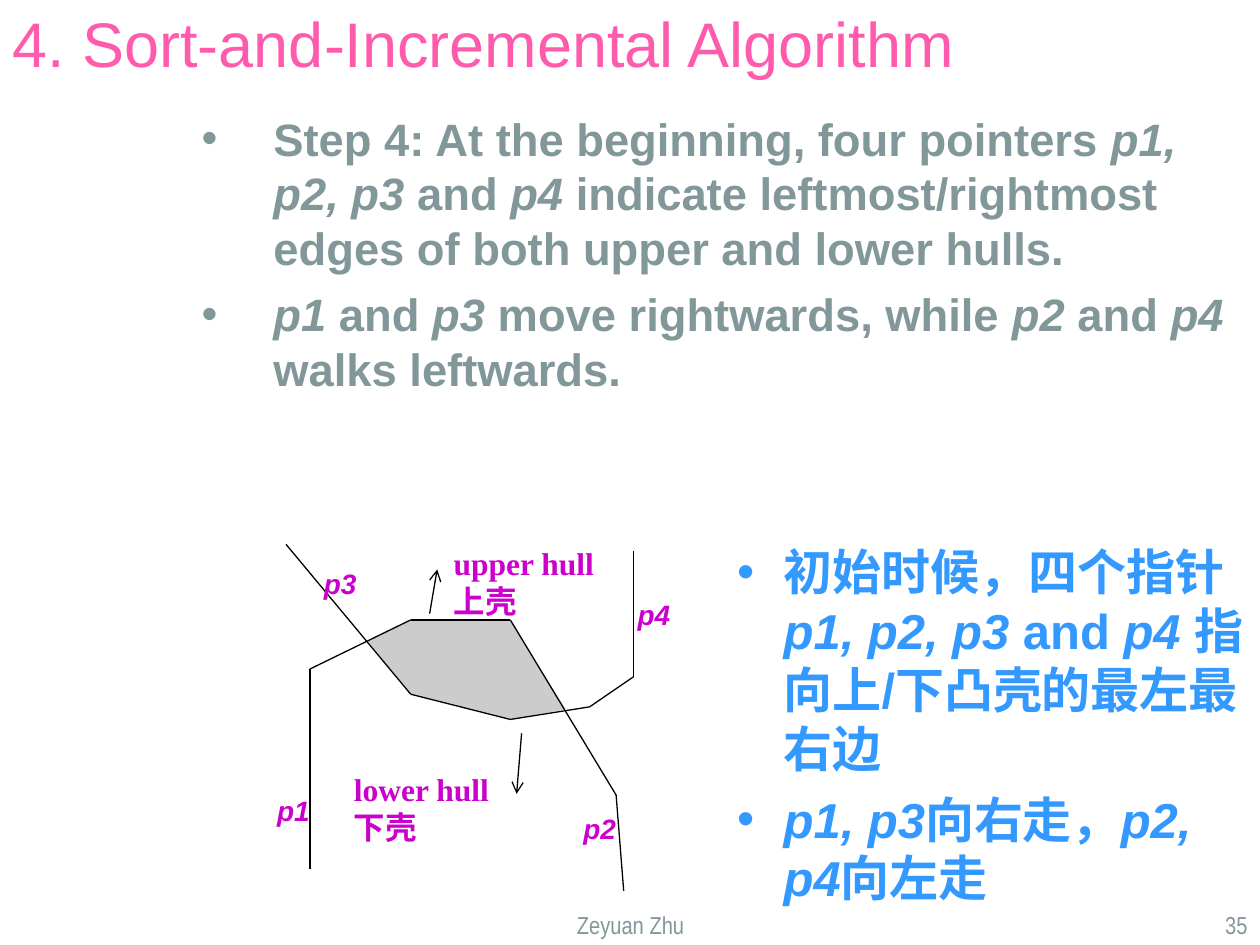
from itertools import pairwise

from lxml import etree
from pptx import Presentation
from pptx import util as u
from pptx.dml.color import RGBColor
from pptx.enum import shapes, text
from pptx.oxml import ns

PX = 9144  # EMU per px, 100 px to the inch
PINK = RGBColor(0xFF, 0x5B, 0xAD)
BLUE = RGBColor(0x33, 0x99, 0xFF)
GREY = RGBColor(0x82, 0x97, 0x9A)
PURPLE = RGBColor(0xCC, 0x00, 0xCC)
BLACK = RGBColor(0, 0, 0)
ALIGN = text.PP_ALIGN


def sub(parent, tag, **attrs):
    return etree.SubElement(parent, ns.qn(tag), attrs)


class Deck:
    """Holds the style and the current slide."""

    font = "Arial"
    line_width = u.Pt(0.75)

    def __init__(self, slide):
        self.s = slide

    def place(self, sp, box):
        sp.left, sp.top, sp.width, sp.height = (v * PX for v in box)
        tf = sp.text_frame
        tf.word_wrap = True
        tf.auto_size = text.MSO_AUTO_SIZE.NONE
        return tf

    def style(self, p, size, color, font=None, bold=False, italic=False):
        for r in p.runs:
            f = r.font
            f.name, f.size, f.bold = font or self.font, u.Pt(size), bold
            f.italic = italic
            f.color.rgb = color

    def title(self, box, words):
        tf = self.place(self.s.shapes.title, box)
        tf.text = words
        tf.vertical_anchor = text.MSO_ANCHOR.MIDDLE
        tf.paragraphs[0].alignment = ALIGN.LEFT
        self.style(tf.paragraphs[0], 36, PINK)

    def bullets(self, idx, box, lines, size, color, indent):
        """Fill a body placeholder; words between asterisks are italic."""
        tf = self.place(self.s.placeholders[idx], box)
        tf.text = "\n".join(lines)
        for p in tf.paragraphs:
            parts = p.text.split("*")
            p.clear()
            for part in parts:
                p.add_run().text = part
            self.style(p, size, color, bold=True)
            for r in p.runs[1::2]:
                r.font.italic = True
            for r in [r for r in p.runs if not r.text]:
                p._p.remove(r._r)
            p.space_before = u.Pt(7)
            p.line_spacing = u.Pt(round(size * 1.2, 1))
            pPr = p._p.get_or_add_pPr()
            pPr.set("marL", str(indent * PX))
            pPr.set("indent", str(-indent * PX))
            sub(sub(pPr, "a:buClr"), "a:srgbClr", val=str(color))
            sub(pPr, "a:buFont", typeface="Arial")
            sub(pPr, "a:buChar", char="•")

    def label(self, box, words, size, color, align=ALIGN.JUSTIFY, inset=True, **look):
        tf = self.place(self.s.shapes.add_textbox(0, 0, 0, 0), box)
        if not inset:
            tf.margin_left = tf.margin_right = tf.margin_top = tf.margin_bottom = 0
        tf.text = words
        for p in tf.paragraphs:
            p.alignment = align
            self.style(p, size, color, **look)

    def line(self, start, end, arrow=False):
        cn = self.s.shapes.add_connector(
            shapes.MSO_CONNECTOR.STRAIGHT, *(v * PX for v in start + end))
        cn.line.color.rgb = BLACK
        cn.line.width = self.line_width
        if arrow:
            sub(cn.line._get_or_add_ln(), "a:tailEnd", type="arrow")
        sub(cn._element.spPr, "a:effectLst")

    def area(self, points, color, alpha):
        fb = self.s.shapes.build_freeform(*points[0], scale=PX)
        fb.add_line_segments(points[1:], close=True)
        sp = fb.convert_to_shape()
        sp.shadow.inherit = False
        sp.line.fill.background()
        sp.fill.solid()
        sp.fill.fore_color.rgb = color
        clr = sp._element.spPr.find(".//" + ns.qn("a:srgbClr"))
        sub(clr, "a:alpha", val=str(alpha * 1000))


def main():
    prs = Presentation()
    prs.slide_width, prs.slide_height = 1000 * PX, 750 * PX
    d = Deck(prs.slides.add_slide(prs.slide_layouts[3]))

    # Title and the two lists
    d.title((0, 0, 817, 67), "4. Sort-and-Incremental Algorithm")
    d.bullets(1, (150, 83, 850, 275), [
        "Step 4: At the beginning, four pointers *p1, p2, p3 *and* p4* indicate "
        "leftmost/rightmost edges of both upper and lower hulls.",
        "*p1* and *p3* move rightwards, while *p2* and *p4* walks leftwards.",
    ], 25.9, GREY, 57)
    d.bullets(2, (575, 425, 425, 325), [
        "初始时候，四个指针*p1, p2, p3 *and* p4 *指向上/下凸壳的最左最右边",
        "*p1, p3*向右走，*p2, p4*向左走",
    ], 28, BLUE, 37)

    # Upper and lower hulls, and the region they enclose
    upper = [(246, 690), (246, 531), (326, 492), (405, 492), (489, 631), (495, 707)]
    lower = [(227, 432), (326, 551), (405, 571), (468, 561), (503, 537), (503, 437)]
    left_cross, right_cross = (292, 509), (449, 563)
    d.area([left_cross, *lower[1:3], right_cross, upper[3], upper[2]], BLACK, 20)
    for hull in (upper, lower):
        for start, end in pairwise(hull):
            d.line(start, end)

    # Pointer names
    for name, x, y in (("p1", 220, 630), ("p2", 463, 644),
                       ("p3", 257, 450), ("p4", 506, 474)):
        d.label((x, y, 35, 28), name, 16, PURPLE, inset=False, bold=True, italic=True)

    # Hull names with their arrows
    for words, x, y, start, end in (
            ("upper hull\n上壳", 360, 432, (341, 487), (347, 452)),
            ("lower hull\n下壳", 281, 611, (414, 582), (410, 630))):
        d.label((x, y, 116, 40), words, 18, PURPLE, inset=False,
                font="Times New Roman", bold=True)
        d.line(start, end, arrow=True)

    # Footer
    d.label((342, 717, 317, 33), "Zeyuan Zhu", 14, GREY, ALIGN.CENTER, font="Arial Narrow")
    d.label((792, 717, 208, 33), "35", 14, GREY, ALIGN.RIGHT, font="Arial Narrow")

    prs.save("out.pptx")


if __name__ == "__main__":
    main()
